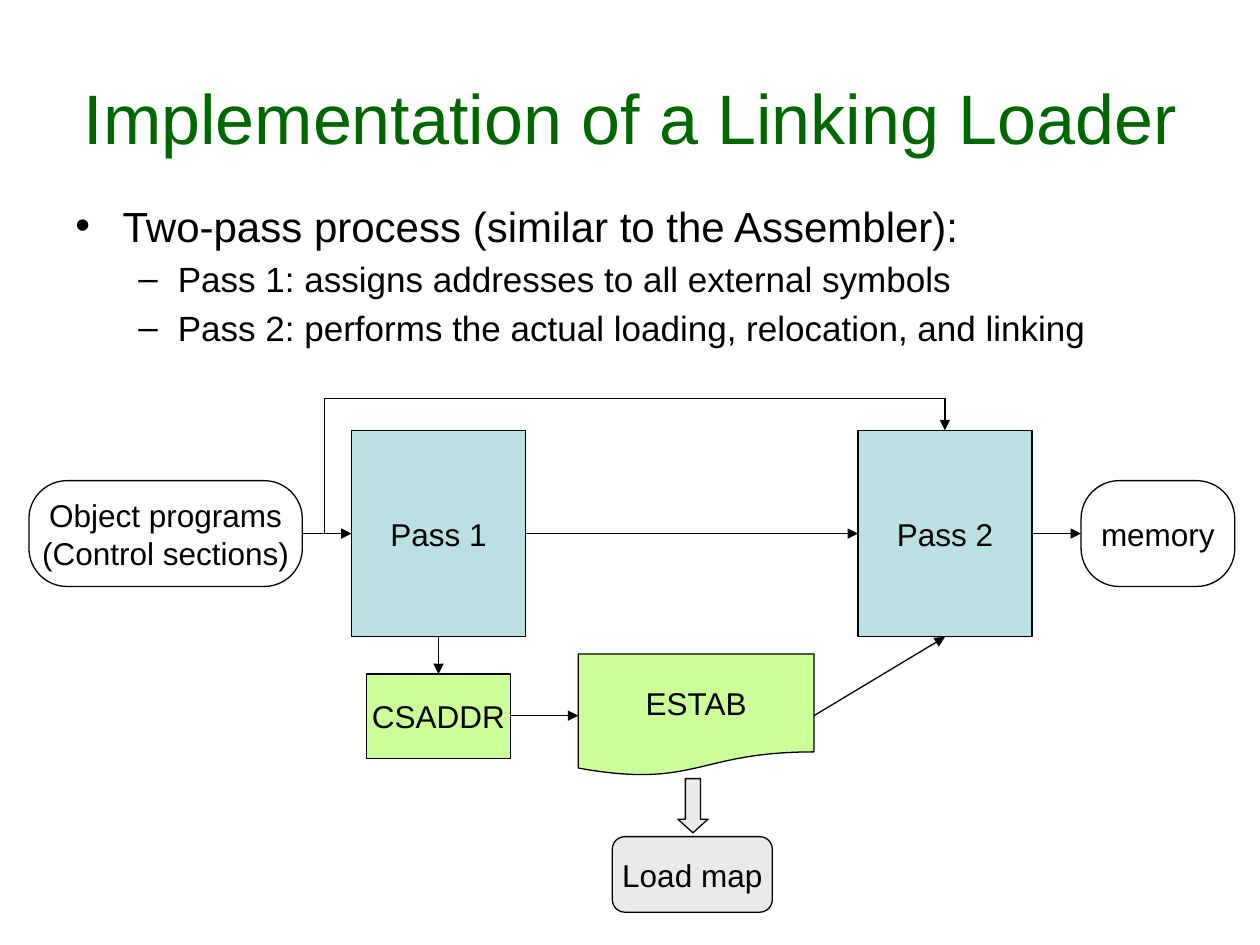
from lxml import etree
from pptx import Presentation
from pptx.dml.color import RGBColor
from pptx.enum.shapes import MSO_CONNECTOR, MSO_SHAPE
from pptx.enum.text import MSO_ANCHOR, PP_ALIGN
from pptx.oxml.ns import qn
from pptx.util import Inches, Pt

RECT, ROUND = MSO_SHAPE.RECTANGLE, MSO_SHAPE.ROUNDED_RECTANGLE
DOCUMENT, DOWN = MSO_SHAPE.FLOWCHART_DOCUMENT, MSO_SHAPE.DOWN_ARROW
ALTERNATE = MSO_SHAPE.FLOWCHART_ALTERNATE_PROCESS
STRAIGHT, ELBOW = MSO_CONNECTOR.STRAIGHT, MSO_CONNECTOR.ELBOW
MIDDLE, CENTER = MSO_ANCHOR.MIDDLE, PP_ALIGN.CENTER

THEME = {
    "font": "Arial", "line": Pt(0.75),
    "title": Pt(40), "bullets": [Pt(24), Pt(20)], "label": Pt(18),
    "green": RGBColor(0x00, 0x66, 0x00), "ink": RGBColor(0, 0, 0),
    "pass": RGBColor(0xBB, 0xE0, 0xE3), "table": RGBColor(0xCC, 0xFF, 0x99),
    "map": RGBColor(0xEA, 0xEA, 0xEA),
}

prs = Presentation()
prs.slide_width, prs.slide_height = Inches(10), Inches(7.5)
slide = prs.slides.add_slide(prs.slide_layouts[6])

# Grid of 100 columns by 75 rows with square cells
CELL = prs.slide_width / 100


def grid(*cells):
    return [round(c * CELL) for c in cells]


def style(paragraph, size, color):
    font = paragraph.font
    font.name, font.size, font.color.rgb = THEME["font"], size, color


# Title
title = slide.shapes.add_textbox(*grid(5, 3, 90, 12.5)).text_frame
title.word_wrap, title.vertical_anchor = True, MIDDLE
title.text = "Implementation of a Linking Loader"
title.paragraphs[0].alignment = CENTER
style(title.paragraphs[0], THEME["title"], THEME["green"])

# Bulleted summary: level, text
summary = [
    (0, "Two-pass process (similar to the Assembler):"),
    (1, "Pass 1: assigns addresses to all external symbols"),
    (1, "Pass 2: performs the actual loading, relocation, and linking"),
]
bullets = [("•", 3.75, -3.75), ("–", 8.13, -3.13)]  # mark, margin, indent
body = slide.shapes.add_textbox(*grid(5, 15.4, 90, 13.9)).text_frame
body.word_wrap = True
body.text = "\n".join(text for _, text in summary)
for i, (paragraph, (level, _)) in enumerate(zip(body.paragraphs, summary)):
    mark, margin, indent = bullets[level]
    size = THEME["bullets"][level]
    paragraph.level = level
    if i:
        paragraph.space_before = Pt(size.pt * 0.2)
    props = paragraph._p.get_or_add_pPr()
    margin, indent = grid(margin, indent)
    props.set("marL", str(margin))
    props.set("indent", str(indent))
    etree.SubElement(props, qn("a:buFont"), typeface=THEME["font"])
    etree.SubElement(props, qn("a:buChar"), char=mark)
    style(paragraph, size, THEME["ink"])

# Diagram nodes: shape, label, fill, left, top, width, height, adjustments
FLOW = 42.35  # row of the main flow
EXCHANGE = 56.8  # row of the table flow
PASS_W, PASS_H, END_H = 13.8, 16.4, 8.4
PASS_TOP, END_TOP = FLOW - PASS_H / 2, FLOW - END_H / 2
PASS1, PASS2 = 27.9, 68.1
MID1, MID2 = PASS1 + PASS_W / 2, PASS2 + PASS_W / 2
nodes = [
    (RECT, "Pass 1", "pass", PASS1, PASS_TOP, PASS_W, PASS_H, []),
    (RECT, "Pass 2", "pass", PASS2, PASS_TOP, PASS_W, PASS_H, []),
    (ROUND, "memory", None, 85.8, END_TOP, 12.2, END_H, [0.36]),
    (ROUND, "Object programs\n(Control sections)", None, 2.3, END_TOP, 21.7, END_H, [0.36]),
    (DOCUMENT, "ESTAB", "table", 45.9, 51.9, 18.7, 9.7, []),
    (RECT, "CSADDR", "table", 29.1, 53.5, 11.4, 6.7, []),
    (DOWN, "", "map", 53.8, 61.8, 2.4, 4.3, [0.5, 0.45]),
    (ALTERNATE, "Load map", "map", 48.6, 66.4, 12.7, 6, []),
]
for kind, label, fill, left, top, width, height, adjustments in nodes:
    node = slide.shapes.add_shape(kind, *grid(left, top, width, height))
    node.shadow.inherit = False
    for i, value in enumerate(adjustments):
        node.adjustments[i] = value
    if fill:
        node.fill.solid()
        node.fill.fore_color.rgb = THEME[fill]
    else:
        node.fill.background()
    node.line.color.rgb, node.line.width = THEME["ink"], THEME["line"]
    if label:
        frame = node.text_frame
        frame.word_wrap, frame.vertical_anchor = False, MIDDLE
        frame.text = label
        for paragraph in frame.paragraphs:
            paragraph.alignment = CENTER
            style(paragraph, THEME["label"], THEME["ink"])

# Arrows: kind, from column and row, to column and row
PASS_END = PASS_TOP + PASS_H
arrows = [
    (STRAIGHT, 24, FLOW, PASS1, FLOW),
    (STRAIGHT, PASS2 + PASS_W, FLOW, 85.8, FLOW),
    (STRAIGHT, 40.5, EXCHANGE, 45.9, EXCHANGE),
    (STRAIGHT, MID1, PASS_END, MID1, 53.5),
    (STRAIGHT, PASS1 + PASS_W, FLOW, PASS2, FLOW),
    (STRAIGHT, 64.6, EXCHANGE, MID2, PASS_END),
    (ELBOW, 24, FLOW, MID2, PASS_TOP),
]
for kind, *ends in arrows:
    arrow = slide.shapes.add_connector(kind, *grid(*ends))
    arrow.line.color.rgb, arrow.line.width = THEME["ink"], THEME["line"]
    outline = arrow.line._get_or_add_ln()
    etree.SubElement(outline, qn("a:tailEnd"), type="triangle")
    props = arrow._element.spPr
    etree.SubElement(props, qn("a:effectLst"))
    if kind == ELBOW:
        # Route over the top of Pass 1 and down into Pass 2
        geometry = props.find(qn("a:prstGeom"))
        geometry.set("prst", "bentConnector4")
        guides = geometry.find(qn("a:avLst"))
        for name, share in (("adj1", 3400), ("adj2", 130500)):
            etree.SubElement(guides, qn("a:gd"), name=name, fmla=f"val {share}")

prs.save("out.pptx")
